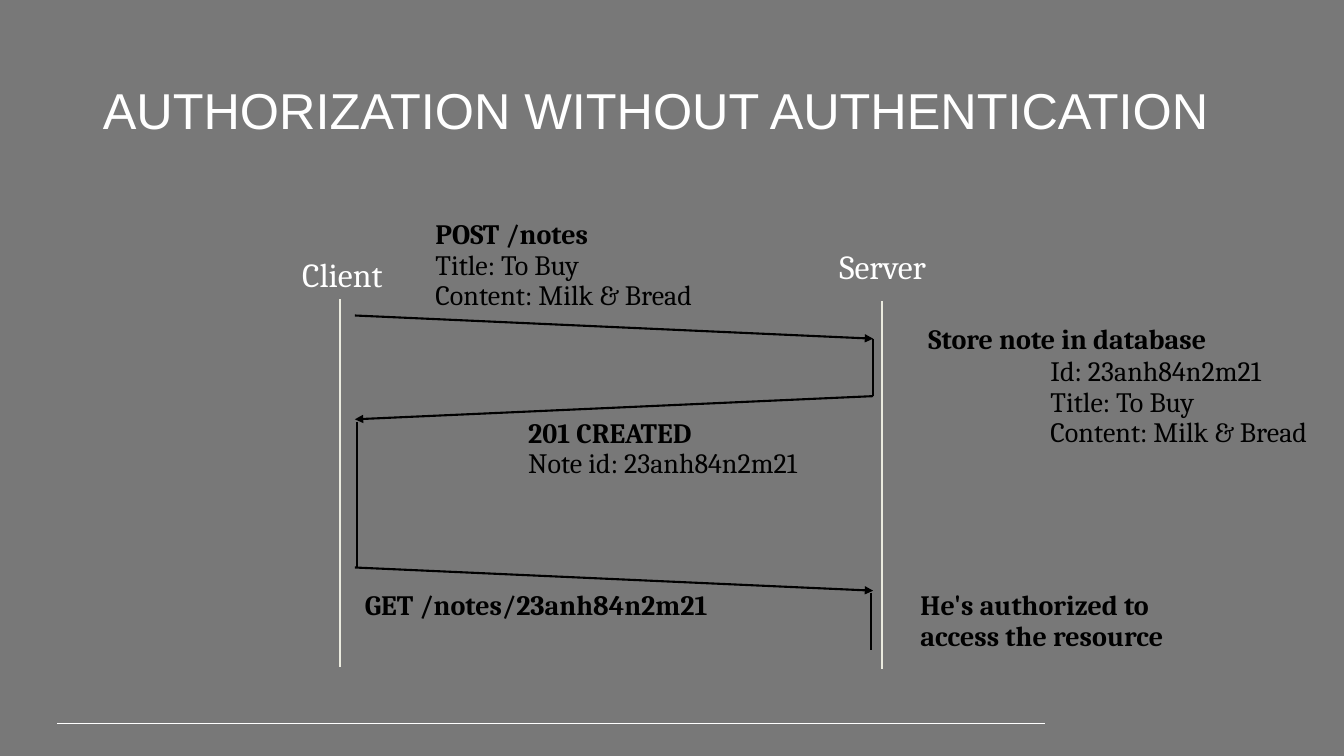
from dataclasses import dataclass

from lxml.etree import SubElement
from pptx import Presentation
from pptx.dml.color import RGBColor
from pptx.enum.shapes import MSO_CONNECTOR
from pptx.enum.text import MSO_ANCHOR, MSO_AUTO_SIZE, PP_ALIGN
from pptx.oxml.ns import qn
from pptx.shapes.autoshape import Shape
from pptx.slide import Slide
from pptx.util import Pt

PX = 9144
COLORS = {
    "background": "787878",
    "light": "FFFFFF",
    "lifeline": "EBEBDF",
    "dark": "000000",
}


@dataclass(frozen=True)
class Label:
    left: int
    top: int
    width: int
    height: int
    text: str
    bold_lines: int = 0
    size: int = 20
    color: str = "dark"
    font: str = "Cambria"
    align: PP_ALIGN = PP_ALIGN.LEFT
    anchor: MSO_ANCHOR = MSO_ANCHOR.TOP
    auto_size: MSO_AUTO_SIZE = MSO_AUTO_SIZE.SHAPE_TO_FIT_TEXT


@dataclass(frozen=True)
class Line:
    start: tuple[int, int]
    end: tuple[int, int]
    color: str = "dark"
    width: float = 1.5
    arrow: bool = False


def participant(left: int, top: int, name: str) -> Label:
    return Label(left, top, 175, 46, name, size=24, color="light", align=PP_ALIGN.CENTER)


def lifeline(x: int, top: int) -> Line:
    return Line((x, top), (x, top + 365), "lifeline")


TITLE = Label(92, 40, 1197, 145, "AUTHORIZATION WITHOUT AUTHENTICATION",
              size=36, color="light", font="Arial", anchor=MSO_ANCHOR.MIDDLE,
              auto_size=MSO_AUTO_SIZE.NONE)
CLIENT = participant(252, 251, "Client")
LABELS = [
    participant(788, 244, "Server"),
    Label(422, 214, 302, 101, "POST /notes\vTitle: To Buy\vContent: Milk & Bread", 1),
    Label(911, 318, 358, 40, "Store note in database", 1),
    Label(1032, 350, 302, 101, "Id: 23anh84n2m21\vTitle: To Buy\vContent: Milk & Bread"),
    Label(514, 411, 367, 71, "201 CREATED\vNote id: 23anh84n2m21", 1),
    Label(352, 582, 456, 40, "GET /notes/23anh84n2m21", 1),
    Label(903, 582, 302, 71, "He's authorized to access the resource", 1),
]
LINES = [
    Line((57, 718), (1036, 718), "light", 0.75),
    lifeline(337, 297),
    lifeline(875, 299),
    Line((352, 313), (866, 336), arrow=True),
    Line((866, 336), (866, 393)),
    Line((866, 393), (352, 416), arrow=True),
    Line((354, 419), (354, 563)),
    Line((352, 563), (866, 586), arrow=True),
    Line((864, 588), (864, 645)),
]


def write_label(shape: Shape, label: Label) -> None:
    shape.left, shape.top = label.left * PX, label.top * PX
    shape.width, shape.height = label.width * PX, label.height * PX
    frame = shape.text_frame
    frame.text = label.text
    frame.word_wrap = True
    frame.auto_size = label.auto_size
    frame.vertical_anchor = label.anchor
    paragraph = frame.paragraphs[0]
    paragraph.alignment = label.align
    paragraph.line_spacing = 0.9
    paragraph.space_before = Pt(0)
    for index, run in enumerate(paragraph.runs):
        run.font.name = label.font
        run.font.size = Pt(label.size)
        run.font.bold = index < label.bold_lines
        run.font.color.rgb = RGBColor.from_string(COLORS[label.color])


def remove_bullet(shape: Shape) -> None:
    properties = shape.text_frame.paragraphs[0]._p.get_or_add_pPr()
    properties.set("marL", "0")
    properties.set("indent", "0")
    SubElement(properties, qn("a:buNone"))


def draw_line(slide: Slide, line: Line) -> None:
    ends = [value * PX for value in (*line.start, *line.end)]
    connector = slide.shapes.add_connector(MSO_CONNECTOR.STRAIGHT, *ends)
    connector.line.color.rgb = RGBColor.from_string(COLORS[line.color])
    connector.line.width = Pt(line.width)
    if line.arrow:
        SubElement(connector.line._get_or_add_ln(), qn("a:tailEnd"), type="triangle")
    SubElement(connector._element.spPr, qn("a:effectLst"))


def main() -> None:
    presentation = Presentation()
    presentation.slide_width, presentation.slide_height = 1333 * PX, 750 * PX
    slide = presentation.slides.add_slide(presentation.slide_layouts[1])
    fill = slide.background.fill
    fill.solid()
    fill.fore_color.rgb = RGBColor.from_string(COLORS["background"])

    write_label(slide.shapes.title, TITLE)
    client = slide.placeholders[1]
    write_label(client, CLIENT)
    remove_bullet(client)
    for line in LINES:
        draw_line(slide, line)
    for label in LABELS:
        write_label(slide.shapes.add_textbox(0, 0, PX, PX), label)
    presentation.save("out.pptx")


if __name__ == "__main__":
    main()
